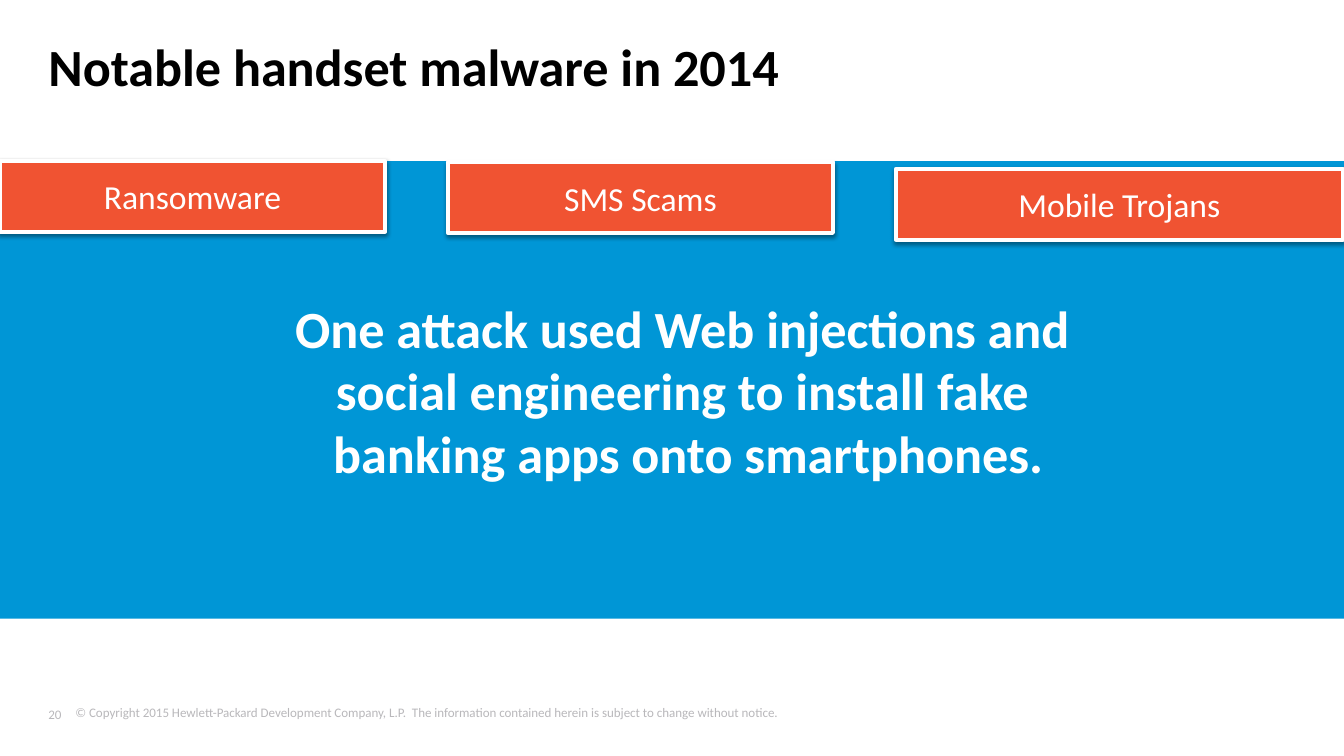
from dataclasses import dataclass

from lxml.etree import SubElement
from pptx import Presentation
from pptx.dml.color import RGBColor
from pptx.enum.shapes import MSO_SHAPE
from pptx.enum.text import MSO_ANCHOR, MSO_AUTO_SIZE, PP_ALIGN
from pptx.oxml.ns import qn
from pptx.util import Cm, Pt


@dataclass(frozen=True)
class Theme:
    font: str = "Calibri"
    black: str = "000000"
    white: str = "FFFFFF"
    blue: str = "0096D6"
    orange: str = "F05332"
    grey: str = "B9B8BB"
    headline: float = 37.3
    label: float = 24
    small: float = 9.3


T = Theme()
SLIDE_W, SLIDE_H = 33.87, 19.05
TAB_H = 1.78


def rgb(value):
    return RGBColor.from_string(value)


def set_text(sp, text, size, color, bold=False, align=PP_ALIGN.LEFT,
             anchor=MSO_ANCHOR.TOP, insets=(0.25, 0.13, 0.25, 0.13)):
    tf = sp.text_frame
    tf.word_wrap = True
    tf.auto_size = MSO_AUTO_SIZE.NONE
    tf.vertical_anchor = anchor
    tf.margin_left, tf.margin_top, tf.margin_right, tf.margin_bottom = map(Cm, insets)
    p = tf.paragraphs[0]
    p.text = text
    p.alignment = align
    for r in p.runs:
        r.font.name = T.font
        r.font.size = Pt(size)
        r.font.bold = bold
        r.font.color.rgb = rgb(color)
    return p


def add_rect(s, box, fill):
    sp = s.shapes.add_shape(MSO_SHAPE.RECTANGLE, *map(Cm, box))
    sp.shadow.inherit = False
    sp.fill.solid()
    sp.fill.fore_color.rgb = rgb(fill)
    sp.line.fill.background()
    return sp


def add_drop_shadow(sp):
    effects = sp._element.spPr.find(qn("a:effectLst"))
    shadow = SubElement(effects, qn("a:outerShdw"), blurRad=str(Pt(3.1)),
                        dist=str(Pt(1.6)), dir="5400000", rotWithShape="0")
    color = SubElement(shadow, qn("a:srgbClr"), val=T.black)
    SubElement(color, qn("a:alpha"), val="38000")


def add_title(s, box, text):
    sp = s.shapes.title
    sp.left, sp.top, sp.width, sp.height = map(Cm, box)
    set_text(sp, text, T.headline, T.black, bold=True, insets=(0, 0, 0, 0))


def add_tab(s, box, text):
    sp = add_rect(s, box, T.orange)
    sp.line.color.rgb = rgb(T.white)
    sp.line.width = Pt(3)
    add_drop_shadow(sp)
    set_text(sp, text, T.label, T.white, align=PP_ALIGN.CENTER,
             anchor=MSO_ANCHOR.MIDDLE)


def add_band(s, box, message, tabs):
    # Blue band with the main message
    left, top, width, _ = box
    sp = add_rect(s, box, T.blue)
    p = set_text(sp, message, T.headline, T.white, bold=True,
                 align=PP_ALIGN.CENTER, anchor=MSO_ANCHOR.MIDDLE,
                 insets=(0, 0.13, 0, 0.13))
    p.space_after = Pt(5.3)
    pPr = p._p.get_or_add_pPr()
    pPr.set("marL", str(Cm(0.84)))
    pPr.set("indent", "0")

    # Tabs along the top edge, one per third of the band
    for i, (text, drop, tab_w) in enumerate(tabs):
        add_tab(s, (left + i * width / 3, top + drop, tab_w, TAB_H), text)


def add_footer(s, box, number, notice):
    left, top, width, height = box
    number_box = s.shapes.add_textbox(Cm(left), Cm(top + 0.1), Cm(1.19), Cm(0.56))
    set_text(number_box, number, T.small, T.grey, anchor=MSO_ANCHOR.MIDDLE,
             insets=(0, 0.18, 0.33, 0.18))
    notice_box = s.shapes.add_textbox(Cm(left + 0.43), Cm(top),
                                      Cm(width - 0.43), Cm(height))
    set_text(notice_box, notice, T.small, T.grey)


def main():
    prs = Presentation()
    prs.slide_width, prs.slide_height = Cm(SLIDE_W), Cm(SLIDE_H)
    s = prs.slides.add_slide(prs.slide_layouts[5])

    add_title(s, (1.22, 0.86, 30.05, 1.6), "Notable handset malware in 2014")
    add_band(
        s, (0, 4.06, SLIDE_W, 11.53),
        "One attack used Web injections and \v"
        "social engineering to install fake \v"
        "banking apps onto smartphones.",
        # Label, offset below the band's top edge, width
        [("Ransomware", 0, 9.7),
         ("SMS Scams", 0.03, 9.7),
         ("Mobile Trojans", 0.2, 11.26)])
    add_footer(
        s, (1.22, 17.63, 30.1, 0.84), "20",
        "© Copyright 2015 Hewlett-Packard Development Company, L.P.  "
        "The information contained herein is subject to change without notice.")

    prs.save("out.pptx")


if __name__ == "__main__":
    main()
